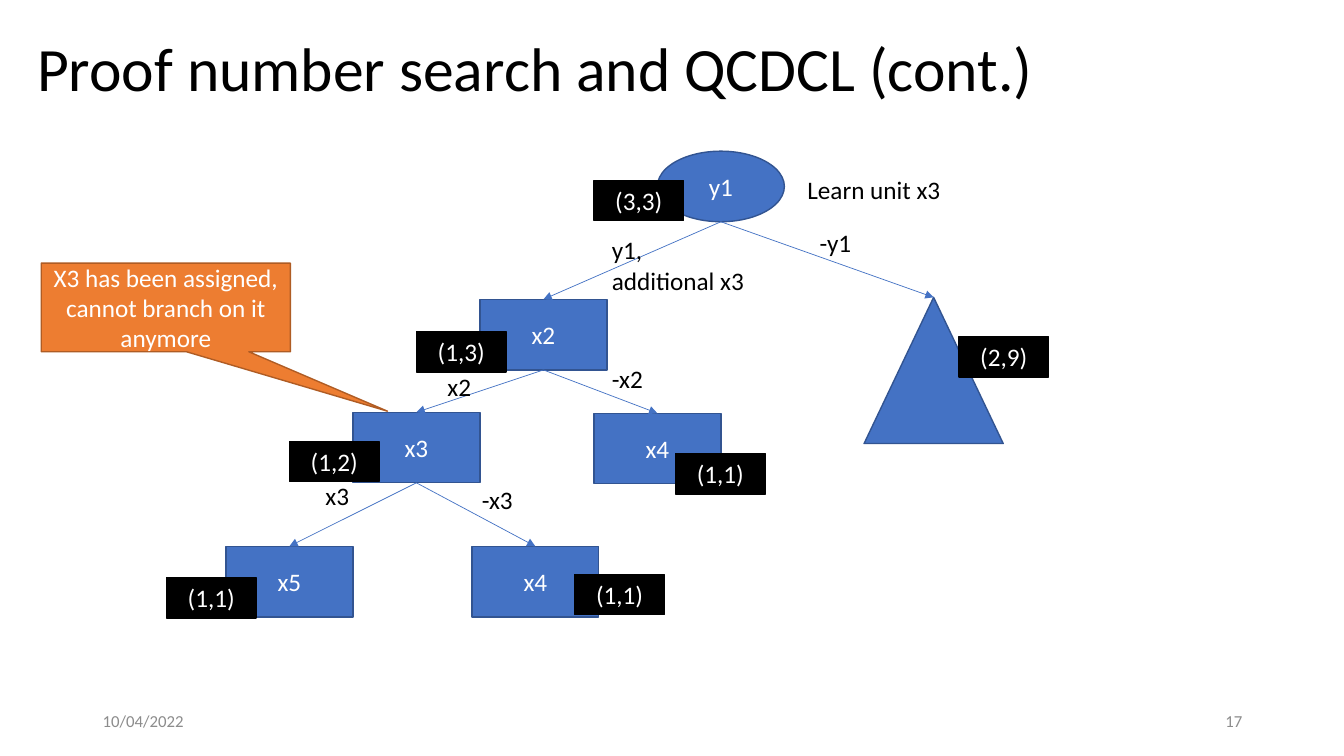
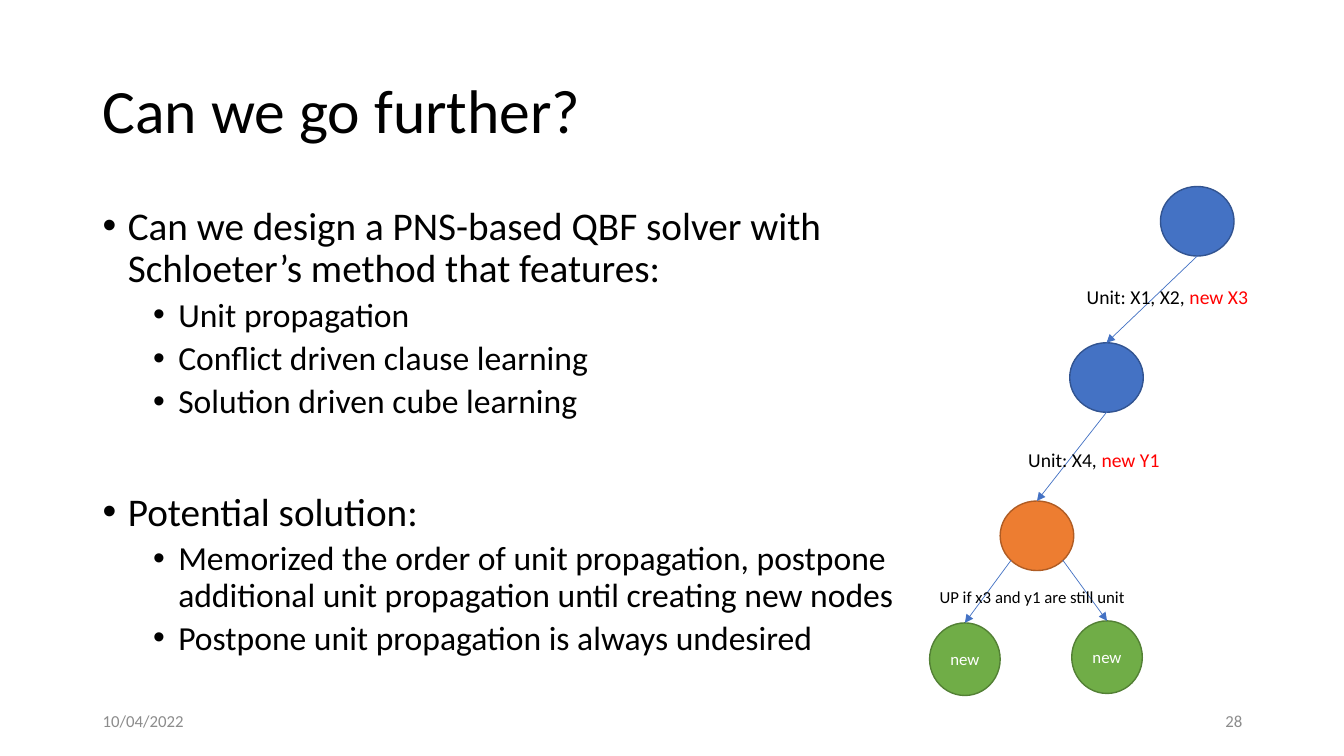
from lxml.etree import SubElement
from pptx import Presentation
from pptx.dml.color import RGBColor
from pptx.enum.shapes import MSO_CONNECTOR, MSO_SHAPE
from pptx.enum.text import MSO_ANCHOR, PP_ALIGN
from pptx.oxml.ns import qn
from pptx.util import Inches, Pt

BLACK = RGBColor(0x00, 0x00, 0x00)
WHITE = RGBColor(0xFF, 0xFF, 0xFF)
GREY = RGBColor(0x8C, 0x8C, 0x8C)
RED = RGBColor(0xFF, 0x00, 0x00)
BLUE = RGBColor(0x44, 0x72, 0xC4)
NAVY = RGBColor(0x32, 0x54, 0x91)
ORANGE = RGBColor(0xED, 0x7D, 0x31)
RUST = RGBColor(0xAF, 0x5C, 0x24)
GREEN = RGBColor(0x70, 0xAD, 0x47)
MOSS = RGBColor(0x53, 0x80, 0x35)


class Deck:
    """Holds the style and the slide being built."""
    font = "Calibri"
    date = "10/04/2022"

    def __init__(self):
        self.file = Presentation()
        self.file.slide_width = Inches(13.33)
        self.file.slide_height = Inches(7.5)
        self.slide = None

    def style(self, par, size, color, align=PP_ALIGN.LEFT):
        par.alignment = align
        par.font.name = self.font
        par.font.size = Pt(size)
        par.font.color.rgb = color

    def page(self, title, number, left, top):
        """Start a slide with its title, date and number."""
        self.slide = self.file.slides.add_slide(self.file.slide_layouts[6])
        par = self.text(title, left, top, 11.5, 1.45, 44, middle=True)
        par.line_spacing = 0.9
        for words, x, align in ((self.date, 0.92, PP_ALIGN.LEFT),
                                (str(number), 9.42, PP_ALIGN.RIGHT)):
            self.text(words, x, 6.95, 3, 0.4, 12, GREY, align, middle=True)

    def frame(self, x, y, w, h, wrap=True):
        box = self.slide.shapes.add_textbox(
            Inches(x), Inches(y), Inches(w), Inches(h))
        box.text_frame.word_wrap = wrap
        return box.text_frame

    def text(self, words, x, y, w, h, size=18, color=BLACK,
             align=PP_ALIGN.LEFT, middle=False, wrap=True):
        """Add a text box, one paragraph a line, and return the last one."""
        frame = self.frame(x, y, w, h, wrap)
        frame.vertical_anchor = MSO_ANCHOR.MIDDLE if middle else MSO_ANCHOR.TOP
        for i, line in enumerate(words.split("\n")):
            par = frame.add_paragraph() if i else frame.paragraphs[0]
            par.add_run().text = line
            self.style(par, size, color, align)
        return par

    def label(self, words, x, y, w, h=0.4):
        self.text(words, x, y, w, h, wrap=False)

    def unit(self, words, new, x, y):
        """Add a label that ends in red."""
        run = self.text(words, x, y, 2, 0.34, 14).add_run()
        run.text = new
        run.font.color.rgb = RED

    def shape(self, kind, x, y, w, h, fill=BLUE, edge=NAVY, words="", size=18):
        item = self.slide.shapes.add_shape(
            kind, Inches(x), Inches(y), Inches(w), Inches(h))
        item.shadow.inherit = False
        item.fill.solid()
        item.fill.fore_color.rgb = fill
        item.line.color.rgb = edge
        item.line.width = Pt(1)
        if words:
            frame = item.text_frame
            frame.word_wrap = True
            frame.vertical_anchor = MSO_ANCHOR.MIDDLE
            frame.text = words
            self.style(frame.paragraphs[0], size, WHITE, PP_ALIGN.CENTER)
        return item

    def node(self, words, x, y, kind=MSO_SHAPE.RECTANGLE):
        return self.shape(kind, x, y, 1.26, 0.7, words=words)

    def badge(self, words, x, y):
        self.shape(MSO_SHAPE.RECTANGLE, x, y, 0.89, 0.4, BLACK, BLACK, words)

    def dot(self, x, y, fill=BLUE, edge=NAVY):
        return self.shape(MSO_SHAPE.OVAL, x, y, 0.73, 0.69, fill, edge)

    def leaf(self, x, y):
        return self.shape(MSO_SHAPE.OVAL, x, y, 0.7, 0.72, GREEN, MOSS,
                          "new", 12)

    def link(self, top, low, across=0.5, down=1):
        """Draw an arrow from a point on one shape to the top of another."""
        line = self.slide.shapes.add_connector(
            MSO_CONNECTOR.STRAIGHT,
            int(top.left + top.width * across),
            int(top.top + top.height * down),
            int(low.left + low.width / 2), low.top)
        line.line.color.rgb = BLUE
        line.line.width = Pt(0.5)
        SubElement(line.line._get_or_add_ln(), qn("a:tailEnd"), type="triangle")
        SubElement(line._element.spPr, qn("a:effectLst"))

    def bullets(self, items, x, y, w, h):
        """Add a list of (level, space before, words)."""
        frame = self.frame(x, y, w, h)
        for i, (level, space, words) in enumerate(items):
            par = frame.add_paragraph() if i else frame.paragraphs[0]
            par.add_run().text = words
            par.level = level
            par.line_spacing = 0.9
            par.space_before = Pt(space)
            props = par._p.get_or_add_pPr()
            props.set("marL", str(Inches(0.25 + 0.5 * level)))
            props.set("indent", str(Inches(-0.25)))
            SubElement(props, qn("a:buFont"), typeface="Arial")
            SubElement(props, qn("a:buChar"), char="•")
            self.style(par, 28 - 4 * level, BLACK)


def search(deck):
    deck.page("Proof number search and QCDCL (cont.)", 17, 0.27, -0.02)
    root = deck.node("y1", 6.52, 1.5, MSO_SHAPE.OVAL)
    x2 = deck.node("x2", 4.76, 2.97)
    x3 = deck.node("x3", 3.5, 4.09)
    x4 = deck.node("x4", 5.89, 4.1)
    x5 = deck.node("x5", 2.24, 5.42)
    last = deck.node("x4", 4.68, 5.42)
    tree = deck.shape(MSO_SHAPE.ISOSCELES_TRIANGLE, 8.57, 2.95, 1.38, 1.45)
    for top, low in ((root, x2), (root, tree), (x2, x3), (x2, x4),
                     (x3, x5), (x3, last)):
        deck.link(top, low)

    deck.label("y1,\nadditional x3", 5.97, 2.28, 1.53, 0.71)
    for words, x, y, w in (("-y1", 8.03, 2.21, 0.52),
                           ("x2", 4.34, 3.63, 0.44),
                           ("-x2", 5.97, 3.56, 0.52),
                           ("x3", 3.13, 4.72, 0.44),
                           ("-x3", 4.68, 4.76, 0.52),
                           ("Learn unit x3", 7.91, 1.68, 1.54)):
        deck.label(words, x, y, w)
    for words, x, y in (("(3,3)", 5.89, 1.79), ("(1,3)", 4.13, 3.29),
                        ("(1,2)", 2.87, 4.38), ("(1,1)", 1.65, 5.73),
                        ("(1,1)", 5.7, 5.7), ("(1,1)", 6.7, 4.5),
                        ("(2,9)", 9.51, 3.34)):
        deck.badge(words, x, y)

    note = deck.shape(MSO_SHAPE.RECTANGULAR_CALLOUT, 0.41, 2.61, 2.47, 0.88,
                      ORANGE, RUST,
                      "X3 has been assigned, cannot branch on it anymore")
    note.adjustments[0] = 0.89
    note.adjustments[1] = 1.17


def further(deck):
    deck.page("Can we go further?", 28, 0.92, 0.4)
    deck.bullets((
        (0, 10, "Can we design a PNS-based QBF solver with "
                "Schloeter’s method that features:"),
        (1, 5, "Unit propagation"),
        (1, 5, "Conflict driven clause learning"),
        (1, 5, "Solution driven cube learning"),
        (0, 51, "Potential solution:"),
        (1, 5, "Memorized the order of unit propagation, postpone "
               "additional unit propagation until creating new nodes"),
        (1, 5, "Postpone unit propagation is always undesired"),
    ), 0.92, 2, 8.3, 4.76)

    root = deck.dot(11.51, 1.85)
    mid = deck.dot(10.61, 3.4)
    fork = deck.dot(9.92, 4.97, ORANGE, RUST)
    left = deck.leaf(9.22, 6.18)
    right = deck.leaf(10.63, 6.16)
    deck.link(root, mid)
    deck.link(mid, fork)
    deck.link(fork, left, 0.15, 0.85)
    deck.link(fork, right, 0.85, 0.85)
    deck.unit("Unit: X1, X2, ", "new X3", 10.68, 2.78)
    deck.unit("Unit: X4, ", "new Y1", 10.1, 4.39)
    deck.text("UP if x3 and y1 are still unit", 9.22, 5.77, 2.4, 0.3, 12)


def main():
    deck = Deck()
    search(deck)
    further(deck)
    deck.file.save("out.pptx")


if __name__ == "__main__":
    main()
